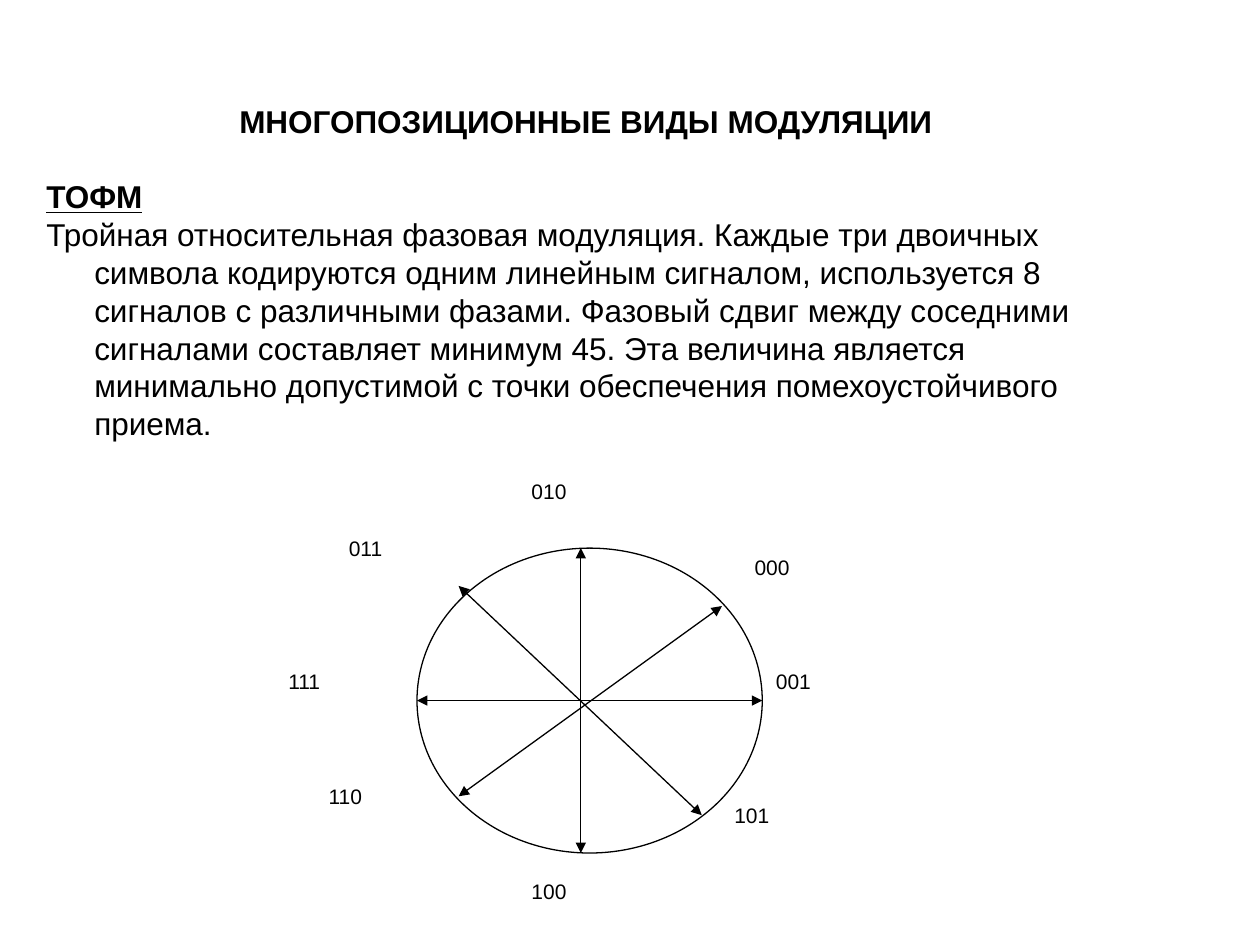
from lxml.etree import SubElement
from pptx import Presentation
from pptx.dml.color import RGBColor
from pptx.enum.shapes import MSO_CONNECTOR, MSO_SHAPE
from pptx.enum.text import MSO_ANCHOR, PP_ALIGN
from pptx.oxml.ns import qn
from pptx.util import Inches, Pt

COLORS = {"ink": "000000"}
FONT = "Arial"
LINE_SPACING = 1.2
TITLE = "МНОГОПОЗИЦИОННЫЕ ВИДЫ МОДУЛЯЦИИ"
HEADING = "ТОФМ"
DEFINITION = (
    "Тройная относительная фазовая модуляция. Каждые три двоичных символа "
    "кодируются одним линейным сигналом, используется 8 сигналов с различными "
    "фазами. Фазовый сдвиг между соседними сигналами составляет минимум 45. "
    "Эта величина является минимально допустимой с точки обеспечения "
    "помехоустойчивого приема."
)
CIRCLE = (3.31, 4.35, 2.74, 2.42)
AXES = [
    (4.61, 4.35, 4.61, 6.77),
    (6.05, 5.56, 3.31, 5.56),
    (3.64, 6.32, 5.73, 4.81),
    (3.64, 4.65, 5.57, 6.47),
]
CODES = {
    "010": (4.12, 3.75),
    "000": (5.89, 4.35),
    "001": (6.06, 5.26),
    "101": (5.73, 6.32),
    "100": (4.12, 6.92),
    "110": (2.51, 6.17),
    "111": (2.19, 5.26),
    "011": (2.67, 4.2),
}


def ink():
    """Return the colour of text and lines."""
    return RGBColor.from_string(COLORS["ink"])


def format_paragraph(paragraph, size, bold=False, underline=False):
    """Apply the slide's type style to a paragraph."""
    paragraph.line_spacing = Pt(size * LINE_SPACING)
    for run in paragraph.runs:
        run.font.name = FONT
        run.font.size = Pt(size)
        run.font.bold = bold
        run.font.underline = underline
        run.font.color.rgb = ink()


def set_title(slide):
    """Place and format the slide title."""
    title = slide.shapes.title
    title.left, title.top = Inches(0.27), Inches(0.76)
    title.width, title.height = Inches(8.76), Inches(0.4)
    title.text_frame.text = TITLE
    title.text_frame.vertical_anchor = MSO_ANCHOR.TOP
    heading = title.text_frame.paragraphs[0]
    heading.alignment = PP_ALIGN.CENTER
    format_paragraph(heading, 18, bold=True)


def add_text(slide, left, top, width, height, text):
    """Add a wrapping text box and return its frame."""
    box = slide.shapes.add_textbox(
        Inches(left), Inches(top), Inches(width), Inches(height)
    )
    box.text_frame.word_wrap = True
    box.text_frame.text = text
    return box.text_frame


def add_definition(slide):
    """Add the underlined term and its hanging-indent definition."""
    frame = add_text(slide, 0.27, 1.36, 8.76, 2.2, f"{HEADING}\n{DEFINITION}")
    term, definition = frame.paragraphs
    for paragraph in (term, definition):
        properties = paragraph._p.get_or_add_pPr()
        properties.set("marL", str(Inches(0.38)))
        properties.set("indent", str(Inches(-0.38)))
    format_paragraph(term, 18, bold=True, underline=True)
    format_paragraph(definition, 18)


def add_circle(slide):
    """Add the outline of the phase circle."""
    circle = slide.shapes.add_shape(MSO_SHAPE.OVAL, *map(Inches, CIRCLE))
    circle.shadow.inherit = False
    circle.fill.background()
    circle.line.color.rgb = ink()
    circle.line.width = Pt(0.75)


def add_axis(slide, ends):
    """Add a line with an arrowhead at each end."""
    axis = slide.shapes.add_connector(MSO_CONNECTOR.STRAIGHT, *map(Inches, ends))
    axis.line.color.rgb = ink()
    axis.line.width = Pt(0.75)
    outline = axis.line._get_or_add_ln()
    for end in ("a:headEnd", "a:tailEnd"):
        SubElement(outline, qn(end), type="triangle")
    SubElement(axis._element.spPr, qn("a:effectLst"))


def add_code(slide, code, left, top):
    """Add the three-bit label of a signal."""
    frame = add_text(slide, left, top, 1.13, 0.3, code)
    format_paragraph(frame.paragraphs[0], 12)


def main():
    """Build and save the slide."""
    presentation = Presentation()
    presentation.slide_width, presentation.slide_height = Inches(10), Inches(7.5)
    slide = presentation.slides.add_slide(presentation.slide_layouts[5])
    set_title(slide)
    add_definition(slide)
    add_circle(slide)
    for ends in AXES:
        add_axis(slide, ends)
    for code, (left, top) in CODES.items():
        add_code(slide, code, left, top)
    presentation.save("out.pptx")


if __name__ == "__main__":
    main()
